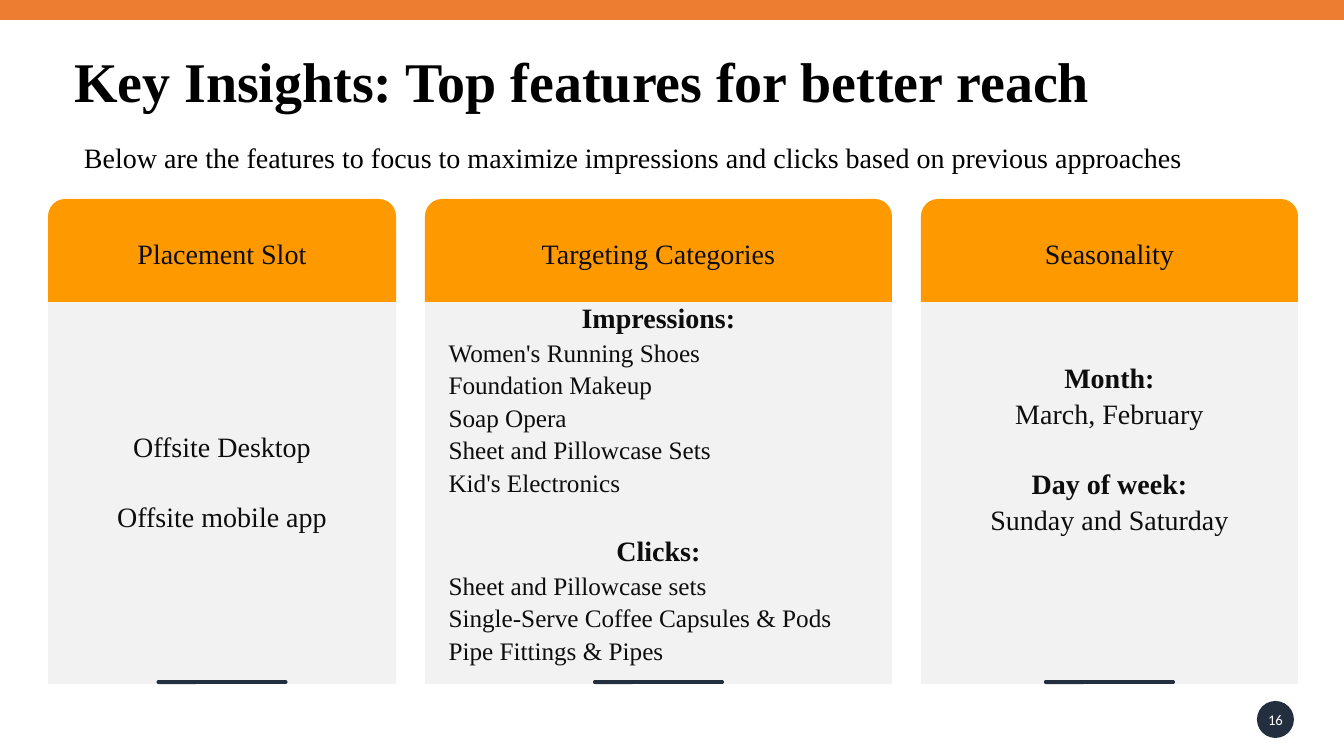
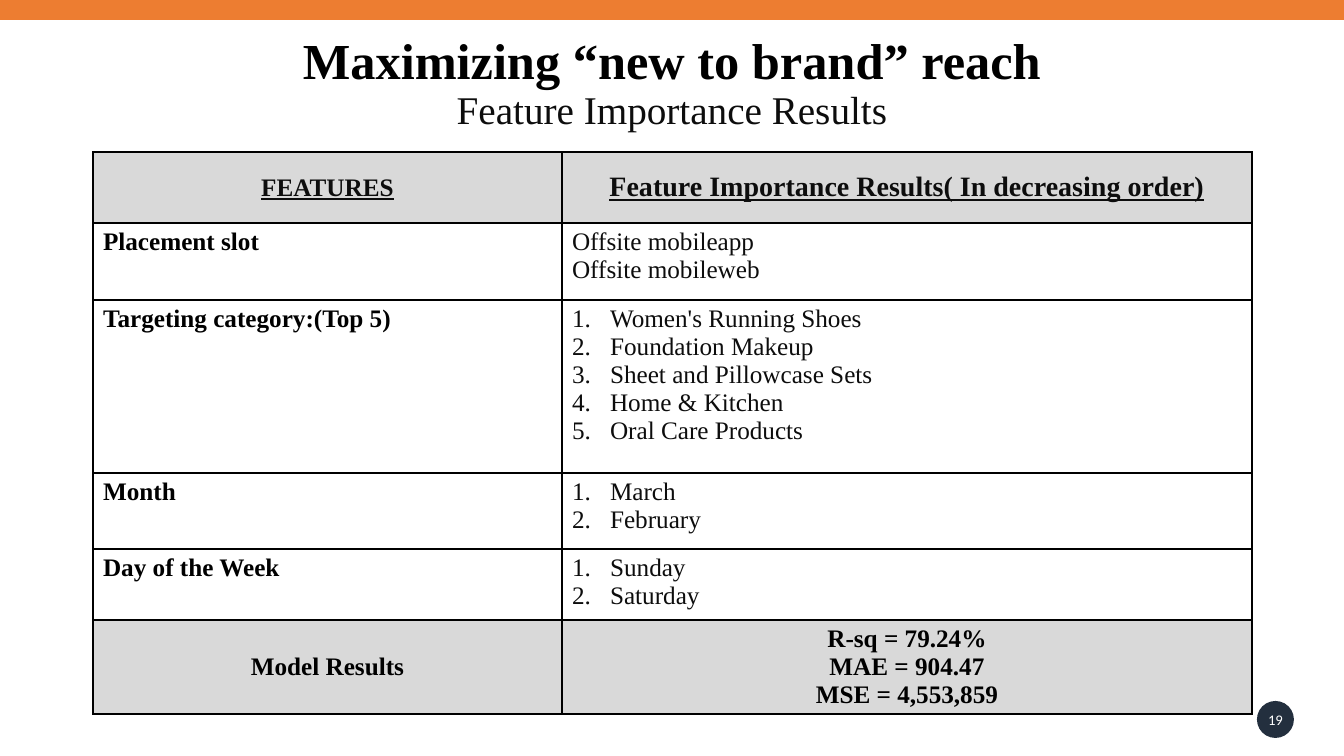
import lxml.etree
import pptx
import pptx.dml.color
import pptx.enum.shapes
import pptx.enum.text
import pptx.oxml.ns
import pptx.util

SLIDE_W, SLIDE_H = 1344, 756
EMU_PER_PX = 914400 / 100.8
COLORS = {
    "black": "000000",
    "ink": "0D0D0D",
    "white": "FFFFFF",
    "band": "ED7D31",
    "header": "FE9900",
    "card": "F2F2F2",
    "navy": "232F3E",
    "row": "D9D9D9",
}
SERIF, SANS = "Times New Roman", "Calibri"
LEFT = pptx.enum.text.PP_ALIGN.LEFT
CENTER = pptx.enum.text.PP_ALIGN.CENTER
TOP = pptx.enum.text.MSO_ANCHOR.TOP
MIDDLE = pptx.enum.text.MSO_ANCHOR.MIDDLE
SHAPES = pptx.enum.shapes.MSO_SHAPE

CARD_TOP, CARD_H, CARD_LEFT, CARD_GAP = 199, 485, 48, 29
HEADER_H = 103
BAR_W, BAR_H = 131, 4
BLANK_LINE_PT = 24
BLANK_LINE_PX = 67


def px(length):
    return pptx.util.Emu(round(length * EMU_PER_PX))


def rgb(name):
    return pptx.dml.color.RGBColor.from_string(COLORS[name])


def add_element(parent, tag, **attributes):
    element = lxml.etree.SubElement(parent, pptx.oxml.ns.qn(tag))
    for key, value in attributes.items():
        element.set(key, str(value))
    return element


def add_para(frame, text, size=20, bold=False, color="ink", align=LEFT, before=0,
             spacing=None, numbered=False, underline=False, font=SERIF):
    """Write into the frame's empty first paragraph, or append a new one."""
    para = frame.paragraphs[0]
    if para.runs:
        para = frame.add_paragraph()
    para.alignment = align
    if before:
        para.space_before = pptx.util.Pt(before)
    if spacing:
        para.line_spacing = spacing
    if numbered:
        properties = para._p.get_or_add_pPr()
        properties.set("marL", str(px(38)))
        properties.set("indent", str(-px(38)))
        add_element(properties, "a:buAutoNum", type="arabicPeriod")
    span = para.add_run()
    span.text = text
    span.font.name = font
    span.font.size = pptx.util.Pt(size)
    span.font.bold = bold
    span.font.underline = underline
    span.font.color.rgb = rgb(color)


def add_filled(page, kind, left, top, width, height, color):
    shape = page.shapes.add_shape(kind, px(left), px(top), px(width), px(height))
    shape.shadow.inherit = False
    shape.fill.solid()
    shape.fill.fore_color.rgb = rgb(color)
    shape.line.fill.background()
    shape.text_frame.vertical_anchor = MIDDLE
    return shape


def set_title(page, left, top, width, height):
    """Place the title placeholder and return its text frame."""
    title = page.shapes.title
    title.left, title.top, title.width, title.height = map(px, (left, top, width, height))
    frame = title.text_frame
    frame.word_wrap = True
    frame.auto_size = pptx.enum.text.MSO_AUTO_SIZE.NONE
    frame.vertical_anchor = pptx.enum.text.MSO_ANCHOR.BOTTOM
    frame.margin_left = frame.margin_right = 0
    return frame


def add_page(deck, number):
    """Add a title-only slide with the top band and the page number badge."""
    page = deck.slides.add_slide(deck.slide_layouts[5])
    band = page.shapes.add_connector(
        pptx.enum.shapes.MSO_CONNECTOR.STRAIGHT, px(0), px(10), px(SLIDE_W), px(10))
    band.line.color.rgb = rgb("band")
    band.line.width = pptx.util.Pt(15)
    add_element(band._element.spPr, "a:effectLst")

    badge = add_filled(page, SHAPES.OVAL, 1257, 701, 37, 37, "navy")
    frame = badge.text_frame
    frame.word_wrap = False
    frame.margin_left = frame.margin_right = frame.margin_top = frame.margin_bottom = 0
    add_para(frame, str(number), size=10.5, color="white", align=CENTER, font=SANS)
    return page


def add_card(page, left, width, heading, lines, top_inset):
    body = add_filled(page, SHAPES.ROUND_2_SAME_RECTANGLE,
                      left, CARD_TOP, width, CARD_H, "card")
    body.adjustments[0] = 0.1
    body.text_frame.margin_top = px(top_inset)
    for text, style in lines:
        add_para(body.text_frame, text, spacing=1.08, **style)

    bar = add_filled(page, SHAPES.ROUNDED_RECTANGLE, left + (width - BAR_W) / 2,
                     CARD_TOP + CARD_H - BAR_H, BAR_W, BAR_H, "navy")
    bar.adjustments[0] = 0.5

    header = add_filled(page, SHAPES.ROUND_2_SAME_RECTANGLE,
                        left, CARD_TOP, width, HEADER_H, "header")
    add_para(header.text_frame, heading, align=CENTER)


def set_borders(cell):
    """Draw a thin black line on all sides; call before setting the fill."""
    properties = cell._tc.get_or_add_tcPr()
    for side in ("a:lnL", "a:lnR", "a:lnT", "a:lnB"):
        line = add_element(properties, side, w=pptx.util.Pt(1))
        fill = add_element(line, "a:solidFill")
        add_element(fill, "a:srgbClr", val=COLORS["black"])


def fill_cell(cell, lines, shaded=False, anchor=TOP, **style):
    set_borders(cell)
    if shaded:
        cell.fill.solid()
        cell.fill.fore_color.rgb = rgb("row")
    else:
        cell.fill.background()
    cell.vertical_anchor = anchor
    for text in lines:
        add_para(cell.text_frame, text, **{"size": 18, **style})


def add_insights_page(deck):
    page = add_page(deck, 16)
    add_para(set_title(page, 74, 46, 1158, 74),
             "Key Insights: Top features for better reach",
             size=40, bold=True, color="black", spacing=0.9)
    intro = page.shapes.add_textbox(px(74), px(136), px(1224), px(44))
    intro.text_frame.word_wrap = True
    add_para(intro.text_frame,
             "Below are the features to focus to maximize impressions and clicks "
             "based on previous approaches", color="black")

    plain = {"align": CENTER}
    strong = {"align": CENTER, "bold": True}
    item = {"size": 18}
    gap = {"before": BLANK_LINE_PT}
    cards = [
        (348, "Placement Slot", BLANK_LINE_PX + 5, [
            ("Offsite Desktop", plain),
            ("Offsite mobile app", plain | gap),
        ]),
        (467, "Targeting Categories", BLANK_LINE_PX + 5, [
            ("Impressions:", strong),
            ("Women's Running Shoes", item),
            ("Foundation Makeup", item),
            ("Soap Opera", item),
            ("Sheet and Pillowcase Sets", item),
            ("Kid's Electronics", item),
            ("Clicks:", strong | gap),
            ("Sheet and Pillowcase sets", item),
            ("Single-Serve Coffee Capsules & Pods", item),
            ("Pipe Fittings & Pipes", item),
        ]),
        (377, "Seasonality", 5, [
            ("Month:", strong),
            ("March, February", plain),
            ("Day of week:", strong | gap),
            ("Sunday and Saturday", plain),
        ]),
    ]
    left = CARD_LEFT
    for width, heading, top_inset, lines in cards:
        add_card(page, left, width, heading, lines, top_inset)
        left += width + CARD_GAP


def add_results_page(deck):
    page = add_page(deck, 19)
    frame = set_title(page, 93, 18, 1158, 120)
    add_para(frame, "Maximizing “new to brand” reach",
             size=36, bold=True, color="black", align=CENTER, spacing=0.9)
    add_para(frame, "Feature Importance Results", size=28, align=CENTER, spacing=0.9)

    widths = (469, 690)
    heights = (71, 77, 173, 76, 71, 94)
    table = page.shapes.add_table(len(heights), len(widths), px(93), px(152),
                                  px(sum(widths)), px(sum(heights))).table
    table.first_row = table.horz_banding = False
    for column, width in zip(table.columns, widths):
        column.width = px(width)
    for row, height in zip(table.rows, heights):
        row.height = px(height)

    heading = {"shaded": True, "anchor": MIDDLE, "align": CENTER, "bold": True}
    fill_cell(table.cell(0, 0), ["FEATURES"], underline=True, **heading)
    fill_cell(table.cell(0, 1), ["Feature Importance Results( In decreasing order)"],
              size=20, underline=True, **heading)
    features = [
        ("Placement slot", False, ["Offsite mobileapp", "Offsite mobileweb"]),
        ("Targeting category:(Top 5)", True, [
            "Women's Running Shoes", "Foundation Makeup", "Sheet and Pillowcase Sets",
            "Home & Kitchen", "Oral Care Products"]),
        ("Month", True, ["March", "February"]),
        ("Day of the Week", True, ["Sunday", "Saturday"]),
    ]
    for index, (label, numbered, values) in enumerate(features, start=1):
        fill_cell(table.cell(index, 0), [label], bold=True, color="black")
        fill_cell(table.cell(index, 1), values, numbered=numbered)
    last = len(heights) - 1
    fill_cell(table.cell(last, 0), ["Model Results"], color="black", **heading)
    fill_cell(table.cell(last, 1), ["R-sq = 79.24%", "MAE = 904.47", "MSE = 4,553,859"],
              color="black", **heading)


def main():
    deck = pptx.Presentation()
    deck.slide_width, deck.slide_height = px(SLIDE_W), px(SLIDE_H)
    add_insights_page(deck)
    add_results_page(deck)
    deck.save("out.pptx")


if __name__ == "__main__":
    main()
